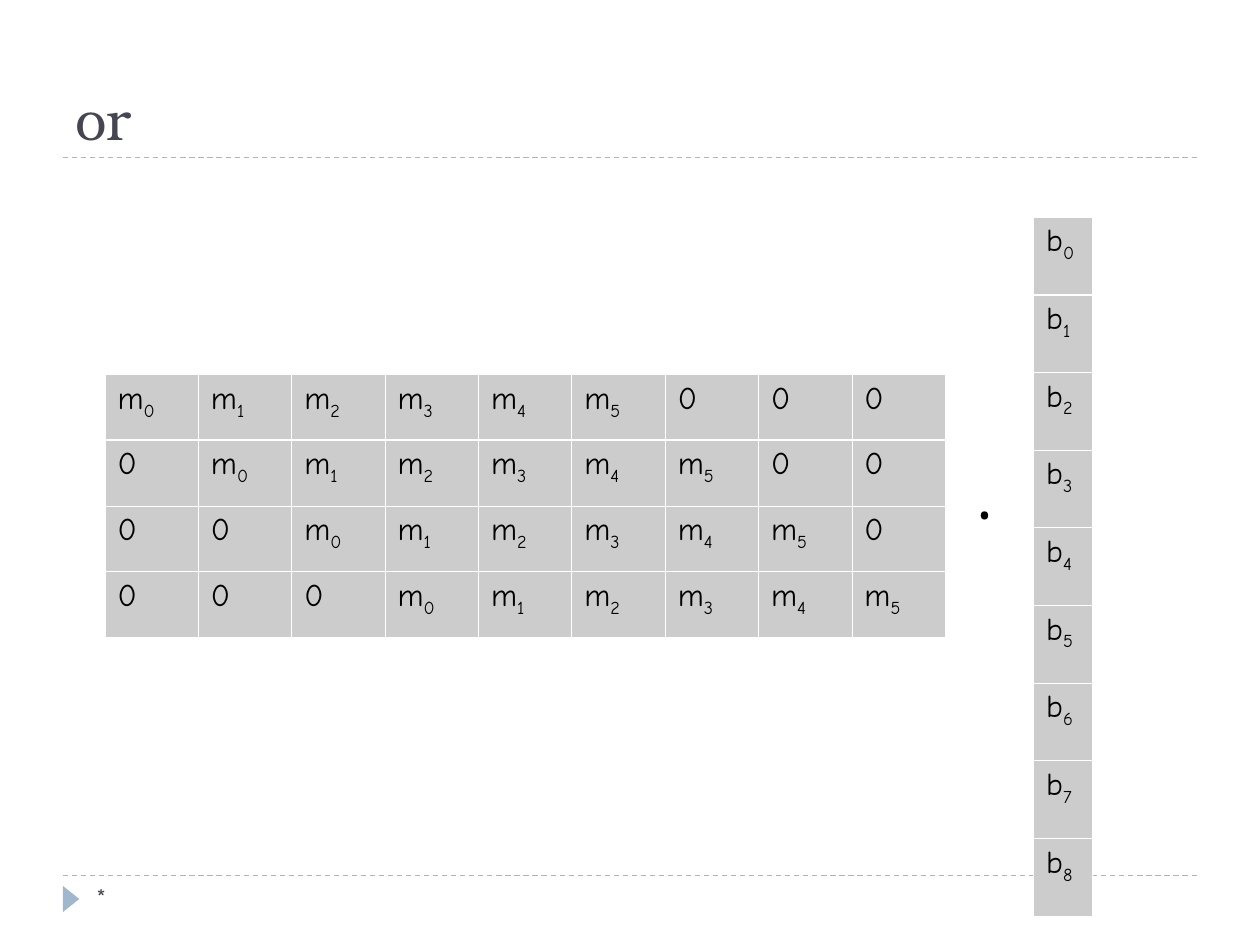
from lxml.etree import SubElement
from pptx import Presentation
from pptx.dml.color import RGBColor
from pptx.enum.dml import MSO_LINE
from pptx.enum.shapes import MSO_CONNECTOR, MSO_SHAPE
from pptx.enum.text import MSO_ANCHOR
from pptx.oxml.ns import qn
from pptx.util import Pt

BLACK = RGBColor(0x00, 0x00, 0x00)
WHITE = RGBColor(0xFF, 0xFF, 0xFF)
CELL_GREY = RGBColor(0xCC, 0xCC, 0xCC)
INK = RGBColor(0x46, 0x46, 0x53)
PALE_BLUE = RGBColor(0x9F, 0xB8, 0xCD)

THIN, THICK = 0.45, 1.47
COEFFICIENTS = 6
MATRIX_ROWS, MATRIX_COLUMNS = 4, 9


class SlideBuilder:
    """Holds the text formats and the slide being drawn."""

    formats = {
        "title": {"name": "TeX Gyre Bonum", "size": Pt(32), "color": INK},
        "footer": {"name": "Comic Neue", "size": Pt(14), "color": INK},
        "cell": {"name": "Comic Neue", "size": Pt(18), "color": BLACK},
        "operator": {"name": "Cambria", "size": Pt(40), "color": BLACK},
    }

    def __init__(self, slide):
        self.slide = slide

    def add_run(self, paragraph, text, style):
        run = paragraph.add_run()
        run.text = text
        for attribute, value in self.formats[style].items():
            if attribute == "color":
                run.font.color.rgb = value
            else:
                setattr(run.font, attribute, value)
        return run

    def add_text(self, text, style, left, top, width, height,
                 wrap=True, anchor=MSO_ANCHOR.TOP):
        box = self.slide.shapes.add_textbox(Pt(left), Pt(top), Pt(width), Pt(height))
        box.text_frame.word_wrap = wrap
        box.text_frame.vertical_anchor = anchor
        self.add_run(box.text_frame.paragraphs[0], text, style)

    def add_rule(self, left, right, top):
        rule = self.slide.shapes.add_connector(
            MSO_CONNECTOR.STRAIGHT, Pt(left), Pt(top), Pt(right), Pt(top))
        rule.line.color.rgb = PALE_BLUE
        rule.line.width = Pt(0.75)
        rule.line.dash_style = MSO_LINE.DASH
        SubElement(rule._element.spPr, qn("a:effectLst"))

    def add_triangle(self, left, top, width, height):
        triangle = self.slide.shapes.add_shape(
            MSO_SHAPE.ISOSCELES_TRIANGLE, Pt(left), Pt(top), Pt(width), Pt(height))
        triangle.rotation = 90
        triangle.shadow.inherit = False
        triangle.fill.solid()
        triangle.fill.fore_color.rgb = PALE_BLUE
        triangle.line.fill.background()

    def add_table(self, rows, left, top, column_width, row_height):
        """Draw rows of (symbol, subscript) pairs with a thick line below the first row."""
        width, height = column_width * len(rows[0]), row_height * len(rows)
        frame = self.slide.shapes.add_table(
            len(rows), len(rows[0]), Pt(left), Pt(top), Pt(width), Pt(height))
        table = frame.table
        for column in table.columns:
            column.width = Pt(column_width)
        for row_index, entries in enumerate(rows):
            table.rows[row_index].height = Pt(row_height)
            borders = {
                "lnL": THIN,
                "lnR": THIN,
                "lnT": THICK if row_index == 1 else THIN,
                "lnB": THICK if row_index == 0 else THIN,
            }
            for column_index, entry in enumerate(entries):
                self.fill_cell(table.cell(row_index, column_index), entry, borders)

    def fill_cell(self, cell, entry, borders):
        symbol, subscript = entry
        paragraph = cell.text_frame.paragraphs[0]
        self.add_run(paragraph, symbol, "cell")
        if subscript:
            run = self.add_run(paragraph, subscript, "cell")
            run._r.get_or_add_rPr().set("baseline", "-25000")
        properties = cell._tc.get_or_add_tcPr()
        for side, width in borders.items():
            line = SubElement(properties, qn(f"a:{side}"), w=str(Pt(width)))
            fill = SubElement(line, qn("a:solidFill"))
            SubElement(fill, qn("a:srgbClr"), val=str(WHITE))
        cell.fill.solid()
        cell.fill.fore_color.rgb = CELL_GREY


def matrix_entry(row, column):
    """Each row holds the coefficients shifted one column further right."""
    index = column - row
    return ("m", str(index)) if 0 <= index < COEFFICIENTS else ("0", "")


def main():
    presentation = Presentation()
    presentation.slide_width, presentation.slide_height = Pt(720), Pt(540)
    builder = SlideBuilder(presentation.slides.add_slide(presentation.slide_layouts[6]))

    for top in (500.4, 90):
        builder.add_rule(36, 684, top)
    builder.add_triangle(33.1, 509, 15, 9.4)

    vector = [[("b", str(index))] for index in range(MATRIX_COLUMNS)]
    builder.add_table(vector, 590.6, 124, 33.6, 44.4)
    builder.add_text(".", "operator", 551.5, 253.5, 24.5, 55.5, wrap=False)
    matrix = [[matrix_entry(row, column) for column in range(MATRIX_COLUMNS)]
              for row in range(MATRIX_ROWS)]
    builder.add_table(matrix, 60, 214, 53.35, 37.6)

    builder.add_text("or", "title", 36, 12, 648, 78, anchor=MSO_ANCHOR.BOTTOM)
    builder.add_text("*", "footer", 48, 500.4, 156, 28.8)

    presentation.save("out.pptx")


if __name__ == "__main__":
    main()
